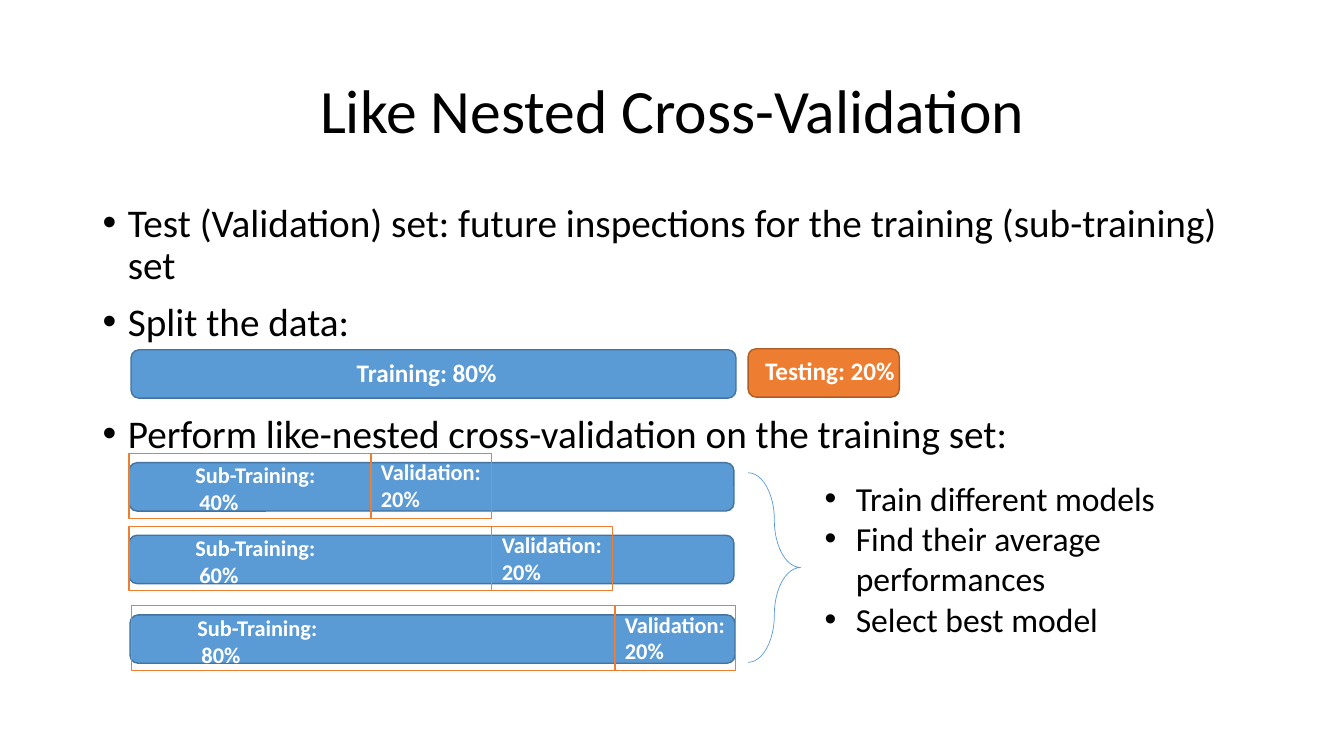
"""Build a slide that explains like-nested cross-validation."""
import lxml.etree
import pptx
import pptx.dml.color
import pptx.enum.shapes
import pptx.enum.text
import pptx.oxml.ns
import pptx.util

COLORS = {"text": "000000", "light": "FFFFFF", "blue": "5B9BD5",
          "blue edge": "43739E", "orange": "ED7D31", "orange edge": "AF5C24"}
FONT = "Calibri"
PX = 9144
SLIDE = (1333, 750)

TITLE = ("Like Nested Cross-Validation", (92, 40, 1150, 145))
POINTS = [
    ("Test (Validation) set: future inspections for the training (sub-training) set", 10),
    ("Split the data:", 10),
    ("Perform like-nested cross-validation on the training set:", 50),
]
POINTS_BOX = (92, 197, 1150, 476)
SPLIT = [
    ("Training: 80%", (130, 347, 600, 48), (344, 350, 270, 40), "blue"),
    ("Testing: 20%", (742, 346, 150, 48), (749, 348, 171, 40), "orange"),
]
FOLDS = [
    (40, (128, 459), 128),
    (60, (128, 531), 128),
    (80, (129, 610), 130),
]
STEPS = ["Train different models", "Find their average performances", "Select best model"]
STEPS_BOX = (808, 469, 374, 172)
BRACE_BOX = (742, 469, 52, 188)

BAR_WIDTH, BAR_HEIGHT = 600, 48
FRAME_HEIGHT, FRAME_RISE = 64, 9
VALIDATION_SHARE = 20
PRESET = pptx.enum.shapes.MSO_SHAPE
ANCHOR = pptx.enum.text.MSO_ANCHOR


def color(name):
    return pptx.dml.color.RGBColor.from_string(COLORS[name])


def emu(lengths):
    return [length * PX for length in lengths]


def add_span(para, text, size, tint="text", bold=False):
    span = para.add_run()
    span.text = text
    span.font.name = FONT
    span.font.size = pptx.util.Pt(size)
    span.font.bold = bold
    span.font.color.rgb = color(tint)


def set_frame(frame, anchor, insets=(10, 5, 10, 5)):
    frame.word_wrap = True
    frame.auto_size = pptx.enum.text.MSO_AUTO_SIZE.NONE
    frame.vertical_anchor = anchor
    (frame.margin_left, frame.margin_top,
     frame.margin_right, frame.margin_bottom) = emu(insets)


def set_indent(para, left, first=0):
    props = para._p.get_or_add_pPr()
    props.set("marL", str(left * PX))
    props.set("indent", str(first * PX))
    return props


def add_bullet(para, hang):
    props = set_indent(para, hang, -hang)
    font = lxml.etree.SubElement(props, pptx.oxml.ns.qn("a:buFont"))
    font.set("typeface", "Arial")
    mark = lxml.etree.SubElement(props, pptx.oxml.ns.qn("a:buChar"))
    mark.set("char", "•")


def add_box(page, place):
    frame = page.shapes.add_textbox(*emu(place)).text_frame
    set_frame(frame, ANCHOR.TOP)
    return frame


def add_list(page, place, items, size, hang, line_spacing):
    frame = add_box(page, place)
    for index, (text, gap) in enumerate(items):
        para = frame.paragraphs[0] if index == 0 else frame.add_paragraph()
        para.line_spacing = line_spacing
        para.space_before = pptx.util.Pt(gap)
        add_bullet(para, hang)
        add_span(para, text, size)


def add_shape(page, preset, place, edge, weight, fill=None):
    shape = page.shapes.add_shape(preset, *emu(place))
    shape.shadow.inherit = False
    if fill:
        shape.fill.solid()
        shape.fill.fore_color.rgb = color(fill)
    else:
        shape.fill.background()
    shape.line.color.rgb = color(edge)
    shape.line.width = pptx.util.Pt(weight)
    return shape


def add_bar(page, place, fill):
    add_shape(page, PRESET.ROUNDED_RECTANGLE, place, f"{fill} edge", 1, fill)


def add_window(page, place, lines, top_inset):
    frame = add_shape(page, PRESET.RECTANGLE, place, "orange", 0.75).text_frame
    set_frame(frame, ANCHOR.TOP, (10, top_inset, 10, 5))
    for index, (text, indent) in enumerate(lines):
        para = frame.paragraphs[0] if index == 0 else frame.add_paragraph()
        para.alignment = pptx.enum.text.PP_ALIGN.LEFT
        set_indent(para, indent)
        add_span(para, text, 16, "light", True)


def add_fold(page, share, bar_corner, left):
    add_bar(page, (*bar_corner, BAR_WIDTH, BAR_HEIGHT), "blue")
    top = bar_corner[1] - FRAME_RISE
    width = BAR_WIDTH * share // 100
    add_window(page, (left, top, width, FRAME_HEIGHT),
               [("Sub-Training:", 56), (f"{share}%", 60)], 8)
    add_window(page, (left + width, top, BAR_WIDTH * VALIDATION_SHARE // 100, FRAME_HEIGHT),
               [(f"Validation: {VALIDATION_SHARE}%", 0)], 5)


def main():
    deck = pptx.Presentation()
    deck.slide_width, deck.slide_height = emu(SLIDE)
    page = deck.slides.add_slide(deck.slide_layouts[5])

    text, place = TITLE
    title = page.shapes.title
    title.left, title.top, title.width, title.height = emu(place)
    set_frame(title.text_frame, ANCHOR.MIDDLE)
    para = title.text_frame.paragraphs[0]
    para.alignment = pptx.enum.text.PP_ALIGN.CENTER
    para.line_spacing = 0.9
    add_span(para, text, 44)

    add_list(page, POINTS_BOX, POINTS, 28, 25, 0.9)

    for text, bar_place, label_place, fill in SPLIT:
        add_bar(page, bar_place, fill)
        label = add_box(page, label_place)
        add_span(label.paragraphs[0], text, 18, "light", True)

    for fold in FOLDS:
        add_fold(page, *fold)

    brace = add_shape(page, PRESET.RIGHT_BRACE, BRACE_BOX, "blue", 0.5)
    brace.adjustments[0] = 1.02
    brace.adjustments[1] = 0.5

    add_list(page, STEPS_BOX, [(step, 0) for step in STEPS], 24, 31, 1.0)
    deck.save("out.pptx")


if __name__ == "__main__":
    main()
